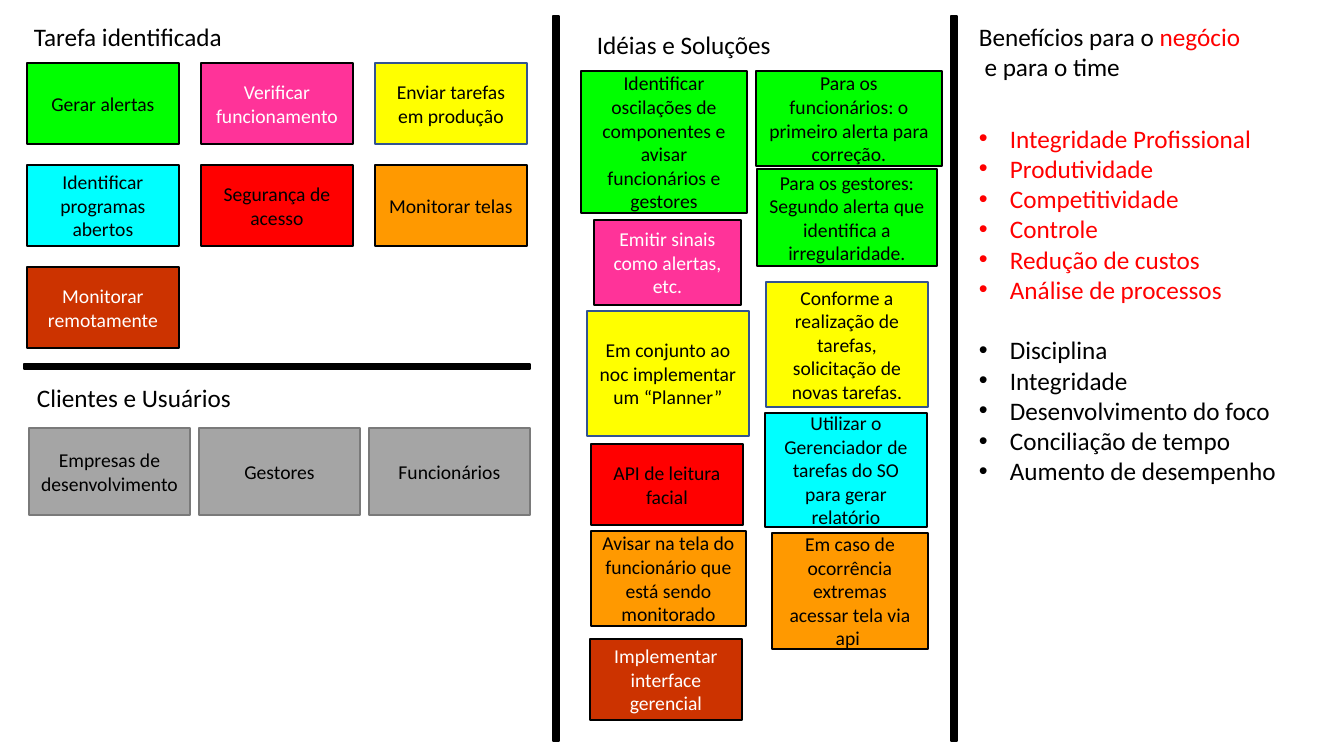
from pptx import Presentation
from pptx.dml.color import RGBColor
from pptx.enum.shapes import MSO_SHAPE
from pptx.enum.text import MSO_ANCHOR, PP_ALIGN
from pptx.util import Pt
from lxml.etree import SubElement
from pptx.oxml.ns import qn

# Content
BLACK, WHITE, RED, GREEN = "000000", "FFFFFF", "FF0000", "00FF00"
PINK, YELLOW, CYAN = "FF3399", "FFFF00", "00FFFF"
ORANGE, RUST, GRAY = "FF9900", "CC3300", "A5A5A5"
EDGES = {YELLOW: "325491", GRAY: "7A7A7A"}
LIGHT = (PINK, RUST)  # cards with colour that need white text

BARS = [(553, 16, 6, 725), (951, 16, 6, 725), (24, 364, 506, 5)]
HEADS = [
    ((24, 16, 491, 40), ["Tarefa identificada"]),
    ((27, 377, 491, 40), ["Clientes e Usuários"]),
    ((587, 24, 360, 40), ["Idéias e Soluções"]),
    ((969, 16, 375, 72),
     [[("Benefícios para o ", BLACK), ("negócio", RED)], " e para o time"]),
]
TASKS = [
    [("Gerar alertas", GREEN), ("Verificar funcionamento", PINK),
     ("Enviar tarefas em produção", YELLOW)],
    [("Identificar programas abertos", CYAN), ("Segurança de acesso", RED),
     ("Monitorar telas", ORANGE)],
    [("Monitorar remotamente", RUST)],
]
CLIENTS = [[("Empresas de desenvolvimento", GRAY), ("Gestores", GRAY),
            ("Funcionários", GRAY)]]
IDEAS = [
    ((581, 71, 166, 142), GREEN,
     ["Identificar oscilações de componentes e avisar funcionários e gestores"]),
    ((756, 71, 186, 95), GREEN,
     ["Para os funcionários: o primeiro alerta para correção."]),
    ((757, 169, 180, 97), GREEN,
     ["Para os gestores:", "Segundo alerta que identifica a irregularidade."]),
    ((594, 220, 147, 85), PINK, ["Emitir sinais como alertas, etc."]),
    ((766, 282, 162, 125), YELLOW,
     ["Conforme a realização de tarefas, solicitação de novas tarefas."]),
    ((587, 311, 162, 125), YELLOW,
     ["Em conjunto ao noc implementar um “Planner”"]),
    ((765, 413, 162, 114), CYAN,
     ["Utilizar o Gerenciador de tarefas do SO para gerar relatório"]),
    ((591, 444, 152, 81), RED, ["API de leitura facial"]),
    ((772, 533, 156, 116), ORANGE,
     ["Em caso de ocorrência extremas acessar tela via api "]),
    ((591, 531, 155, 95), ORANGE,
     ["Avisar na tela do funcionário que está sendo monitorado"]),
    ((590, 639, 152, 81), RUST, ["Implementar interface gerencial"]),
]
GAINS = [
    (RED, ["Integridade Profissional", "Produtividade", "Competitividade",
           "Controle ", "Redução de custos", "Análise de processos"]),
    (BLACK, ["Disciplina", "Integridade", "Desenvolvimento do foco",
             "Conciliação de tempo", "Aumento de desempenho"]),
]

# Slide and helpers
SCALE = 914400 / 100.8


def px(n):
    return round(n * SCALE)


def paint(hue):
    return RGBColor.from_string(hue)


deck = Presentation()
deck.slide_width, deck.slide_height = px(1344), px(756)
slide = deck.slides.add_slide(deck.slide_layouts[6])


def write(frame, lines, size=18, hue=BLACK, align=PP_ALIGN.LEFT,
          anchor=MSO_ANCHOR.TOP):
    """Fill a frame; a line is a string or a list of (text, colour)."""
    frame.word_wrap = True
    frame.vertical_anchor = anchor
    for i, line in enumerate(lines):
        para = frame.paragraphs[0] if i == 0 else frame.add_paragraph()
        para.alignment = align
        for text, tone in [(line, hue)] if isinstance(line, str) else line:
            run = para.add_run()
            run.text = text
            run.font.name, run.font.size = "Calibri", Pt(size)
            run.font.color.rgb = paint(tone)


def block(box, hue):
    shape = slide.shapes.add_shape(MSO_SHAPE.RECTANGLE, *map(px, box))
    shape.shadow.inherit = False
    shape.fill.solid()
    shape.fill.fore_color.rgb = paint(hue)
    shape.line.color.rgb = paint(EDGES.get(hue, BLACK))
    shape.line.width = Pt(1)
    return shape


def card(box, hue, lines):
    write(block(box, hue).text_frame, lines, size=14,
          hue=WHITE if hue in LIGHT else BLACK,
          align=PP_ALIGN.CENTER, anchor=MSO_ANCHOR.MIDDLE)


def grid(rows, left, top, step, size):
    for r, row in enumerate(rows):
        for c, (text, hue) in enumerate(row):
            card((left + c * step[0], top + r * step[1], *size), hue, [text])


def label(box, lines):
    frame = slide.shapes.add_textbox(*map(px, box)).text_frame
    write(frame, lines)
    return frame


# Dividers and headings
for bar in BARS:
    block(bar, BLACK)
for box, lines in HEADS:
    label(box, lines)

# Cards
grid(TASKS, 27, 63, (174, 102), (152, 81))
grid(CLIENTS, 29, 428, (170, 0), (161, 87))
for box, hue, lines in IDEAS:
    card(box, hue, lines)

# Benefits: the second group starts one line lower
gains = label((969, 118, 360, 377),
              [[(text, hue)] for hue, group in GAINS for text in group])
for para in gains.paragraphs:
    props = para._p.get_or_add_pPr()
    props.set("marL", str(px(31)))
    props.set("indent", str(px(-31)))
    SubElement(props, qn("a:buFont"), typeface="Arial")
    SubElement(props, qn("a:buChar"), char="•")
gains.paragraphs[len(GAINS[0][1])].space_before = Pt(21.6)

deck.save("out.pptx")
